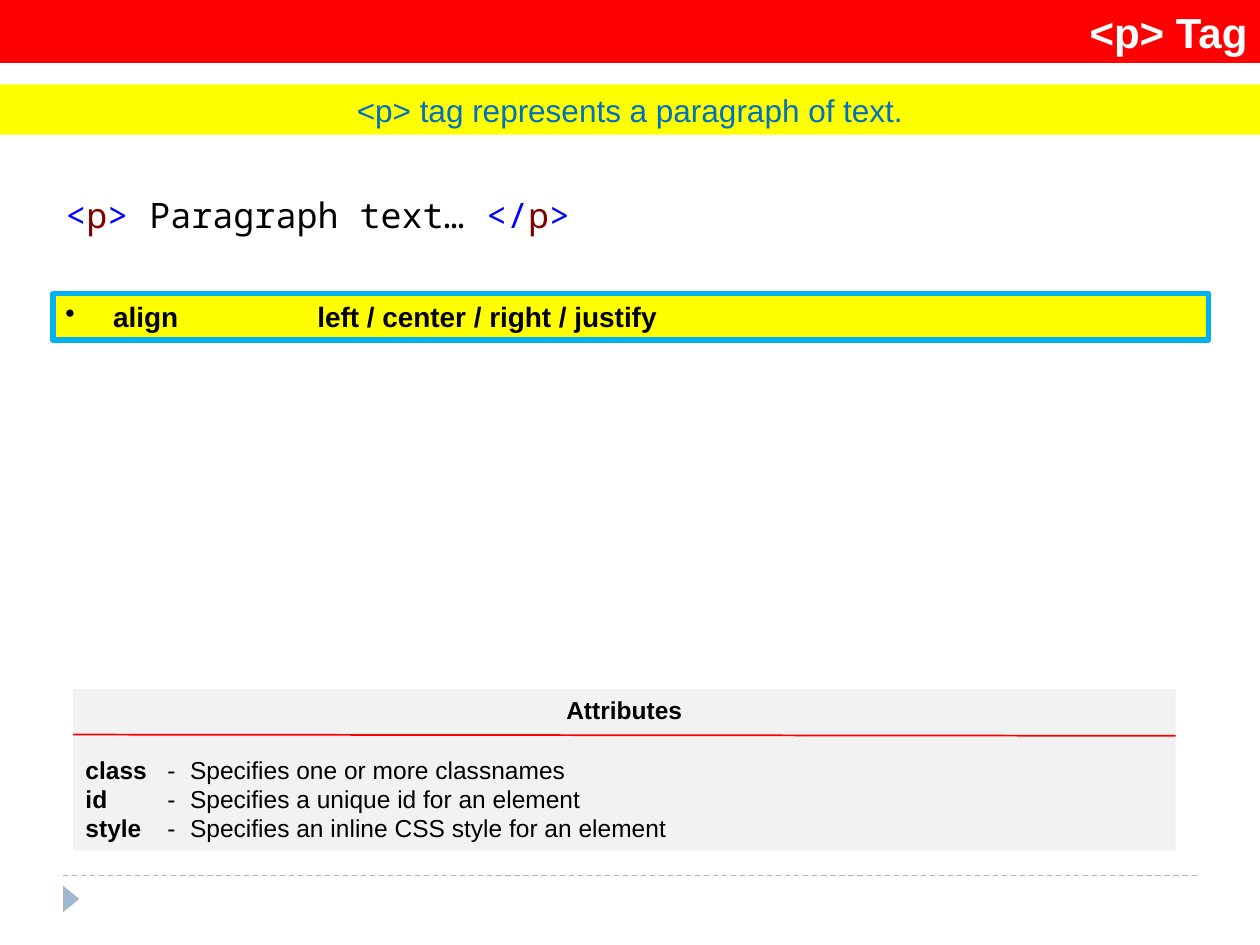
from dataclasses import dataclass

from lxml import etree
from pptx import Presentation
from pptx import util as u
from pptx.dml.color import RGBColor
from pptx.enum import dml, shapes, text
from pptx.oxml import ns


@dataclass(frozen=True)
class Theme:
    """Hold the colours, fonts and type sizes of the slide."""
    red: str = "FF0000"
    yellow: str = "FFFF00"
    white: str = "FFFFFF"
    black: str = "000000"
    ink: str = "0070C0"
    edge: str = "00B0F0"
    pale: str = "F2F2F2"
    steel: str = "9FB8CD"
    mark: str = "0000FF"
    name: str = "800000"
    sans: str = "Arial"
    mono: str = "Noto Sans Mono"
    title: int = 24
    code: int = 20
    lead: int = 18
    item: int = 16
    body: int = 14


T = Theme()
ALIGN = text.PP_ALIGN


def apply(obj, form):
    """Set each attribute named in a dict of format values."""
    for key, val in form.items():
        setattr(obj, key, val)


def style(size, color=T.black, bold=False, face=T.sans):
    """Return the format of a run and its colour."""
    return {"size": u.Pt(size), "bold": bold, "name": face}, color


def place(*nums):
    """Turn numbers of inches into lengths."""
    return [u.Inches(n) for n in nums]


def add_para(frame, runs, form=None, first=False):
    """Add a paragraph of (words, style) runs."""
    para = frame.paragraphs[0] if first else frame.add_paragraph()
    apply(para, {"alignment": ALIGN.LEFT, **(form or {})})
    for words, (font, color) in runs:
        run = para.add_run()
        run.text = words
        apply(run.font, font)
        run.font.color.rgb = RGBColor.from_string(color)
    return para


def add_tabs(para, stops, bullet=None, hang=0):
    """Give a paragraph tab stops and, if asked, a hanging bullet."""
    props = para._p.get_or_add_pPr()
    if bullet:
        props.set("marL", str(u.Inches(hang)))
        props.set("indent", str(-u.Inches(hang)))
        etree.SubElement(props, ns.qn("a:buChar"), char=bullet)
    tabs = etree.SubElement(props, ns.qn("a:tabLst"))
    for stop in stops:
        etree.SubElement(tabs, ns.qn("a:tab"), pos=str(u.Inches(stop)), algn="l")


def add_box(items, box, fill, edge=None, kind=shapes.MSO_SHAPE.RECTANGLE):
    """Add a filled shape with an optional (colour, width) outline."""
    shape = items.add_shape(kind, *place(*box))
    shape.shadow.inherit = False
    shape.fill.solid()
    shape.fill.fore_color.rgb = RGBColor.from_string(fill)
    if edge:
        shape.line.color.rgb = RGBColor.from_string(edge[0])
        shape.line.width = u.Pt(edge[1])
    else:
        shape.line.fill.background()
    apply(shape.text_frame, {"word_wrap": True, "vertical_anchor": text.MSO_ANCHOR.TOP})
    return shape


def add_rule(items, ends, color, width, dash=None):
    """Add a straight line between two points."""
    rule = items.add_connector(shapes.MSO_CONNECTOR.STRAIGHT, *place(*ends))
    rule.line.color.rgb = RGBColor.from_string(color)
    apply(rule.line, {"width": u.Pt(width), "dash_style": dash})
    etree.SubElement(rule._element.spPr, ns.qn("a:effectLst"))


def add_band(items, box, fill, words, look, align):
    """Add a full-width band with one line of text."""
    frame = add_box(items, box, fill).text_frame
    add_para(frame, [(words, look)], {"alignment": align}, True)


def add_foot(items):
    """Add the dashed footer line and its pointer."""
    add_rule(items, (0.5, 6.95, 9.5, 6.95), T.steel, 0.75, dml.MSO_LINE.DASH)
    kind = shapes.MSO_SHAPE.ISOSCELES_TRIANGLE
    add_box(items, (0.46, 7.07, 0.21, 0.13), T.steel, kind=kind).rotation = 90


def add_panel(items, head, rows):
    """Add the grouped panel of attributes and their meanings."""
    group = items.add_group_shape().shapes
    frame = add_box(group, (0.58, 5.47, 8.75, 1.28), T.pale).text_frame
    bold, plain = style(T.body, bold=True), style(T.body)
    form = {"alignment": ALIGN.CENTER, "space_after": u.Pt(17)}
    add_para(frame, [(head, bold)], form, True)
    for name, note in rows:
        para = add_para(frame, [(name, bold), (f"\t-\t{note}", plain)])
        add_tabs(para, (0.65, 0.83))
    add_rule(group, (0.58, 5.83, 9.33, 5.84), T.red, 1)


def add_item(items, words):
    """Add the outlined box with one bulleted attribute."""
    frame = add_box(items, (0.42, 2.33, 9.17, 0.37), T.yellow, (T.edge, 3)).text_frame
    para = add_para(frame, [(words, style(T.item, bold=True))], first=True)
    add_tabs(para, (2,), "•", 0.38)


def add_code(items, parts):
    """Add a line of coloured code."""
    frame = items.add_textbox(*place(0.42, 1.49, 9.17, 0.44)).text_frame
    frame.word_wrap = True
    runs = [(words, style(T.code, color, face=T.mono)) for words, color in parts]
    add_para(frame, runs, first=True)


def main():
    """Build the slide and save it."""
    deck = Presentation()
    apply(deck, {"slide_width": u.Inches(10), "slide_height": u.Inches(7.5)})
    items = deck.slides.add_slide(deck.slide_layouts[6]).shapes
    add_foot(items)
    add_band(items, (0, 0, 10, 0.5), T.red, "<p> Tag",
             style(T.title, T.white, True), ALIGN.RIGHT)
    add_band(items, (0, 0.67, 10, 0.4), T.yellow,
             "<p> tag represents a paragraph of text.",
             style(T.lead, T.ink), ALIGN.CENTER)
    add_panel(items, "Attributes", [
        ("class", "Specifies one or more classnames"),
        ("id", "Specifies a unique id for an element"),
        ("style", "Specifies an inline CSS style for an element"),
    ])
    add_item(items, "align\tleft / center / right / justify")
    add_code(items, [
        ("<", T.mark), ("p", T.name), (">", T.mark),
        (" Paragraph text… ", T.black),
        ("</", T.mark), ("p", T.name), (">", T.mark),
    ])
    deck.save("out.pptx")


if __name__ == "__main__":
    main()
